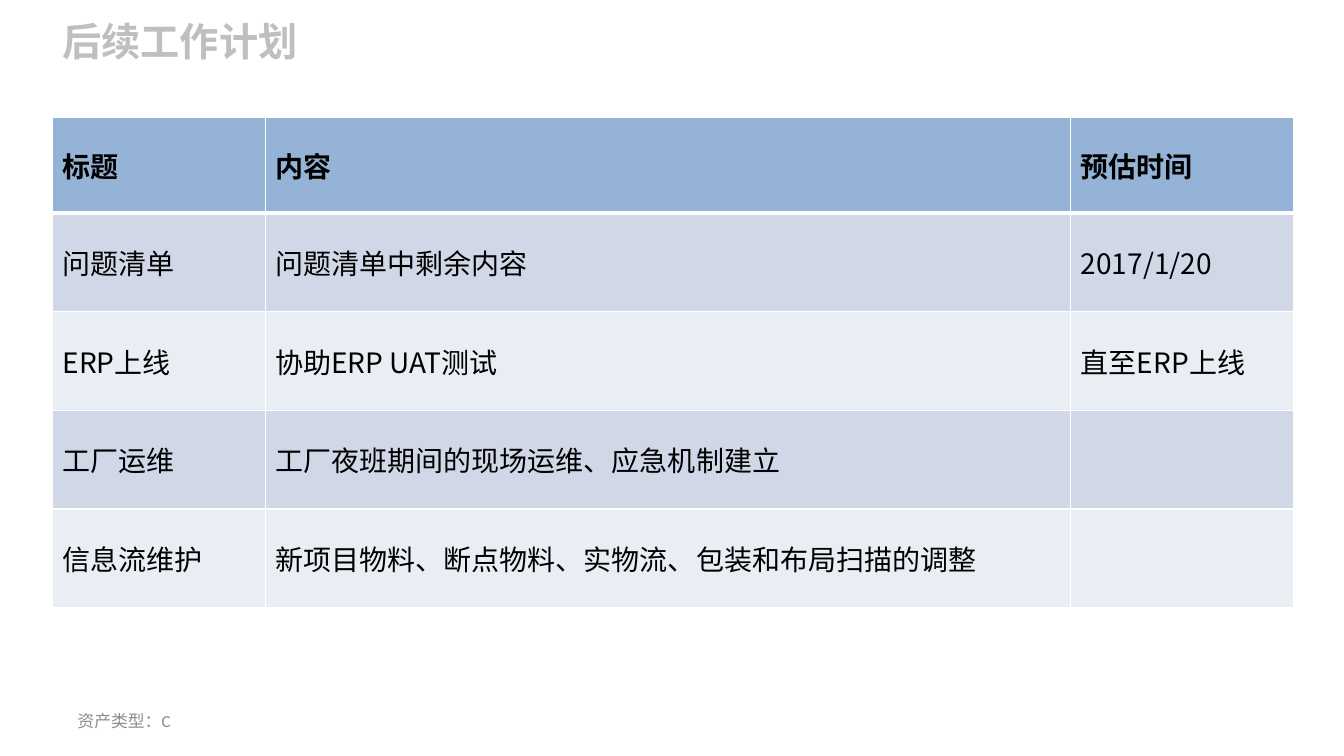
from lxml.etree import SubElement
from pptx import Presentation
from pptx.dml.color import RGBColor
from pptx.enum.text import MSO_ANCHOR as Anchor, MSO_AUTO_SIZE as AutoSize, PP_ALIGN as Align
from pptx.oxml.ns import qn
from pptx.util import Inches, Pt

COLORS = {
    "title": "BFBFBF",
    "footer": "8C8C8C",
    "text": "000000",
    "header": "95B3D7",
    "band_dark": "D0D8E8",
    "band_light": "E9EDF4",
    "border": "FFFFFF",
}
PLAN = [
    ("标题", "内容", "预估时间"),
    ("问题清单", "问题清单中剩余内容", "2017/1/20"),
    ("ERP上线", "协助ERP UAT测试", "直至ERP上线"),
    ("工厂运维", "工厂夜班期间的现场运维、应急机制建立", ""),
    ("信息流维护", "新项目物料、断点物料、实物流、包装和布局扫描的调整", ""),
]


class PlanSlide:
    text_font = "Calibri"
    table_font = "Noto Sans CJK SC"

    def __init__(self, deck):
        self.slide = deck.slides.add_slide(deck.slide_layouts[5])

    def set_text(self, frame, text, size, color, font, bold=False):
        frame.text = text
        paragraph = frame.paragraphs[0]
        paragraph.alignment = Align.LEFT
        paragraph.font.size = Pt(size)
        paragraph.font.name = font
        paragraph.font.bold = bold
        paragraph.font.color.rgb = RGBColor.from_string(COLORS[color])

    def title(self, text, left, top, width, height):
        heading = self.slide.shapes.title
        heading.left, heading.top = Inches(left), Inches(top)
        heading.width, heading.height = Inches(width), Inches(height)
        frame = heading.text_frame
        frame.vertical_anchor = Anchor.TOP
        frame.auto_size = AutoSize.SHAPE_TO_FIT_TEXT
        self.set_text(frame, text, 28, "title", self.text_font, bold=True)

    def footer(self, text, left, top, width, height):
        box = self.slide.shapes.add_textbox(
            Inches(left), Inches(top), Inches(width), Inches(height))
        frame = box.text_frame
        frame.word_wrap = True
        frame.vertical_anchor = Anchor.MIDDLE
        self.set_text(frame, text, 12, "footer", self.text_font)

    def borders(self, cell, row):
        properties = cell._tc.get_or_add_tcPr()
        widths = {
            "a:lnL": 1,
            "a:lnR": 1,
            "a:lnT": 3 if row == 1 else 1,
            "a:lnB": 3 if row == 0 else 1,
        }
        for side, width in widths.items():
            line = SubElement(properties, qn(side), w=str(Pt(width)))
            fill = SubElement(line, qn("a:solidFill"))
            SubElement(fill, qn("a:srgbClr"), val=COLORS["border"])

    def table(self, rows, left, top, column_widths, row_heights):
        grid = self.slide.shapes.add_table(
            len(rows), len(column_widths), Inches(left), Inches(top),
            Inches(sum(column_widths)), Inches(sum(row_heights))).table
        for column, width in zip(grid.columns, column_widths):
            column.width = Inches(width)
        for index, (values, height) in enumerate(zip(rows, row_heights)):
            grid.rows[index].height = Inches(height)
            band = "band_dark" if index % 2 else "band_light"
            fill = "header" if index == 0 else band
            for cell, value in zip(grid.rows[index].cells, values):
                self.borders(cell, index)
                cell.fill.solid()
                cell.fill.fore_color.rgb = RGBColor.from_string(COLORS[fill])
                cell.vertical_anchor = Anchor.MIDDLE
                self.set_text(cell.text_frame, value, 20, "text", self.table_font, bold=index == 0)


def main():
    deck = Presentation()
    deck.slide_width, deck.slide_height = Inches(13.33), Inches(7.5)
    plan = PlanSlide(deck)
    plan.title("后续工作计划", 0.52, 0.12, 9.98, 0.57)
    plan.footer("资产类型：C", 0.67, 6.95, 3.11, 0.4)
    plan.table(PLAN, 0.52, 1.16, [2.11, 7.99, 2.21], [0.95] + [0.98] * 4)
    deck.save("out.pptx")


if __name__ == "__main__":
    main()
